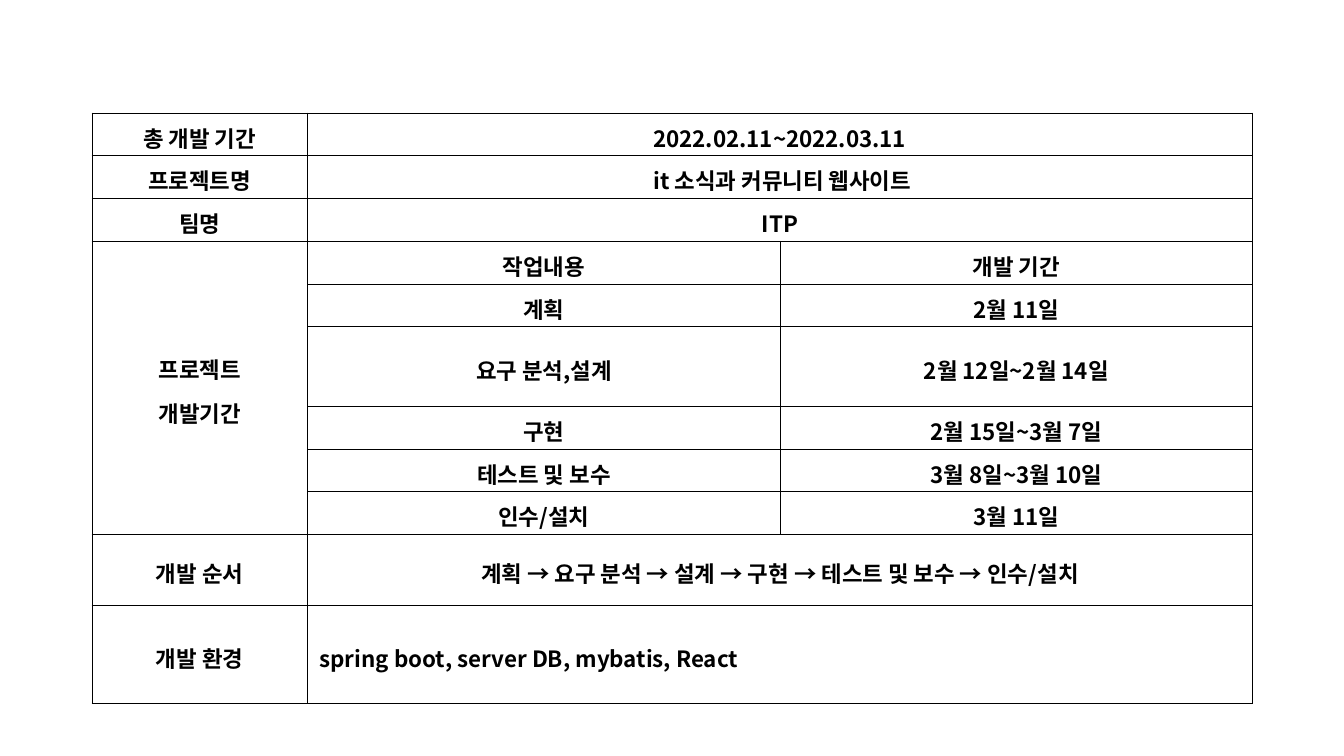
from lxml import etree
from pptx import Presentation
from pptx.dml.color import RGBColor
from pptx.enum.text import MSO_ANCHOR, PP_ALIGN
from pptx.oxml.ns import qn
from pptx.util import Inches, Pt

FONT = "Noto Sans CJK KR"
BLACK, WHITE = "000000", "FFFFFF"
LEFT, TOP = 0.91, 1.12
COLUMN_WIDTHS = [2.14, 4.69, 4.68]
ROW_HEIGHT = 0.4
TALL_ROWS = {5: 0.79, 9: 0.7, 10: 0.98}
BORDER_WIDTH = 0.28

SUMMARY = [
    ("총 개발 기간", "2022.02.11~2022.03.11"),
    ("프로젝트명", " it 소식과 커뮤니티 웹사이트"),
    ("팀명", "ITP"),
]
SCHEDULE_LABEL = "프로젝트\n개발기간"
SCHEDULE = [
    ("작업내용", "개발 기간"),
    ("계획", "2월 11일"),
    ("요구 분석,설계", "2월 12일~2월 14일"),
    ("구현", "2월 15일~3월 7일"),
    ("테스트 및 보수", "3월 8일~3월 10일"),
    ("인수/설치", "3월 11일"),
]
DETAILS = [
    ("개발 순서", "계획 → 요구 분석 → 설계 → 구현 → 테스트 및 보수 → 인수/설치"),
    ("개발 환경", " spring boot, server DB, mybatis, React"),
]


def color(value):
    """Turn a hex string into a colour."""
    return RGBColor.from_string(value)


def add_borders(cell):
    """Draw a thin black line on each side of a cell."""
    properties = cell._tc.get_or_add_tcPr()
    for index, side in enumerate(("lnL", "lnR", "lnT", "lnB")):
        line = etree.Element(qn(f"a:{side}"), w=str(Pt(BORDER_WIDTH)))
        fill = etree.SubElement(line, qn("a:solidFill"))
        etree.SubElement(fill, qn("a:srgbClr"), val=BLACK)
        properties.insert(index, line)


def write(cell, text, alignment=PP_ALIGN.CENTER):
    """Write bold text into a cell, one paragraph a line."""
    frame = cell.text_frame
    for index, line in enumerate(text.split("\n")):
        paragraph = frame.add_paragraph() if index else frame.paragraphs[0]
        paragraph.alignment = alignment
        paragraph.line_spacing = 1.2
        paragraph.space_after = Pt(4)
        run = paragraph.add_run()
        run.text = line
        run.font.name = FONT
        run.font.size = Pt(16)
        run.font.bold = True
        run.font.color.rgb = color(BLACK)
        etree.SubElement(run._r.get_or_add_rPr(), qn("a:ea"), typeface=FONT)


def format_cell(cell, is_label):
    """Set the fill, margins, anchor and borders of a cell."""
    if is_label:
        cell.fill.solid()
        cell.fill.fore_color.rgb = color(WHITE)
    else:
        cell.fill.background()
    cell.vertical_anchor = MSO_ANCHOR.MIDDLE
    cell.margin_left = cell.margin_right = Inches(0.07)
    cell.margin_top = cell.margin_bottom = Inches(0.02)
    add_borders(cell)


def fill_wide_rows(table, first_row, rows):
    """Write label and value rows whose value spans two columns."""
    for row, (label, value) in enumerate(rows, first_row):
        table.cell(row, 1).merge(table.cell(row, 2))
        write(table.cell(row, 0), label)
        is_last = row == len(table.rows) - 1
        write(table.cell(row, 1), value, PP_ALIGN.LEFT if is_last else PP_ALIGN.CENTER)


def fill_schedule(table, first_row):
    """Write the task rows beside one tall label."""
    last_row = first_row + len(SCHEDULE) - 1
    table.cell(first_row, 0).merge(table.cell(last_row, 0))
    write(table.cell(first_row, 0), SCHEDULE_LABEL)
    for row, entries in enumerate(SCHEDULE, first_row):
        for column, text in enumerate(entries, 1):
            write(table.cell(row, column), text)


def add_project_table(slide):
    """Add the project overview table."""
    row_count = len(SUMMARY) + len(SCHEDULE) + len(DETAILS)
    heights = [TALL_ROWS.get(row, ROW_HEIGHT) for row in range(row_count)]
    table = slide.shapes.add_table(
        row_count, len(COLUMN_WIDTHS), Inches(LEFT), Inches(TOP),
        Inches(sum(COLUMN_WIDTHS)), Inches(sum(heights))).table
    table.first_row = table.horz_banding = False
    for column, width in zip(table.columns, COLUMN_WIDTHS):
        column.width = Inches(width)
    for row, height in zip(table.rows, heights):
        row.height = Inches(height)
        for index, cell in enumerate(row.cells):
            format_cell(cell, index == 0)
    fill_wide_rows(table, 0, SUMMARY)
    fill_schedule(table, len(SUMMARY))
    fill_wide_rows(table, len(SUMMARY) + len(SCHEDULE), DETAILS)


presentation = Presentation()
presentation.slide_width = Inches(13.33)
presentation.slide_height = Inches(7.5)
add_project_table(presentation.slides.add_slide(presentation.slide_layouts[6]))
presentation.save("out.pptx")
